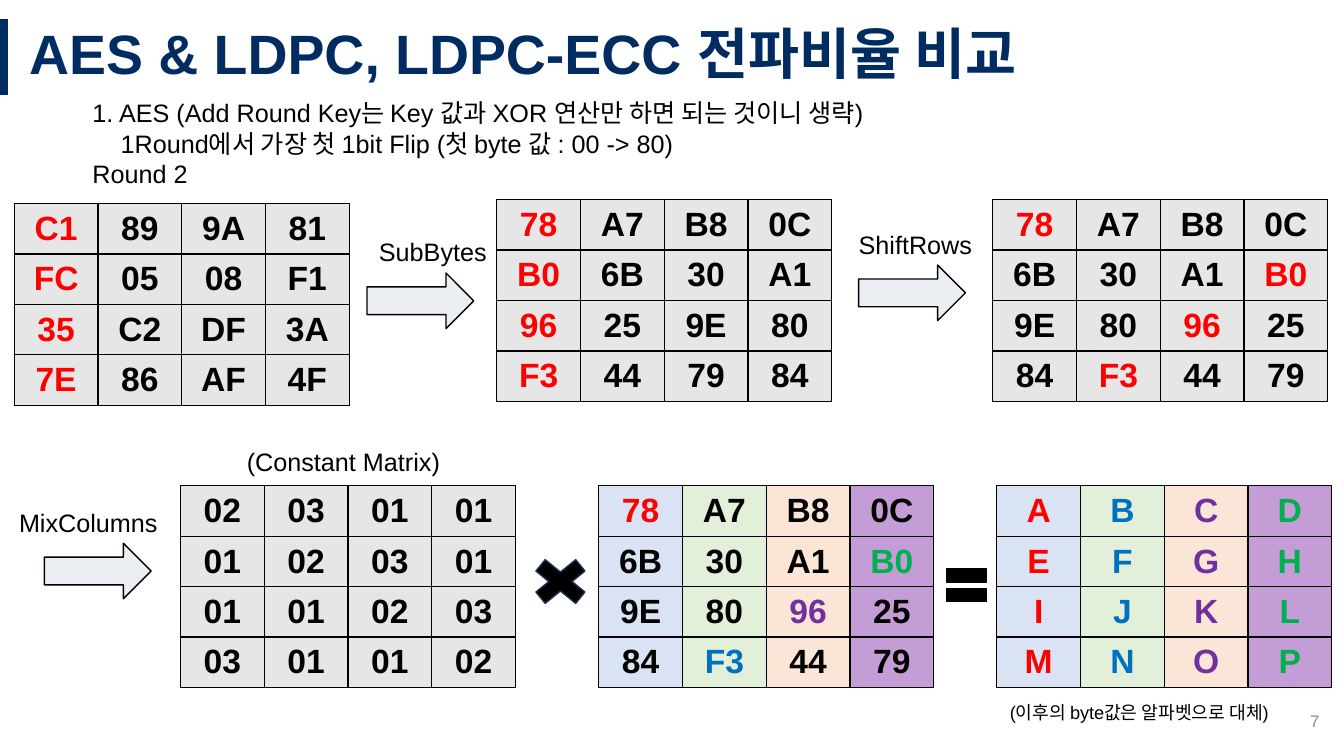
from dataclasses import dataclass

from lxml import etree
from pptx import Presentation
from pptx.dml.color import RGBColor
from pptx.enum import shapes, text
from pptx.oxml import ns
from pptx.shapes.autoshape import Shape
from pptx.slide import Slide
from pptx.text.text import TextFrame
from pptx.util import Cm, Pt


@dataclass(frozen=True)
class Theme:
    font: str = "Arial"
    navy: str = "002C62"
    black: str = "000000"
    grey: str = "8C8C8C"
    arrow: str = "EBEEF2"
    multiply_edge: str = "1E3256"
    plain_fills: tuple[str, ...] = ("E7E6E6",) * 4
    plain_inks: tuple[str, ...] = ("FF0000",) * 4
    column_fills: tuple[str, ...] = ("DAE3F3", "E2F0D9", "FBE5D6", "C49DD6")
    column_inks: tuple[str, ...] = ("FF0000", "0070C0", "7030A0", "00B050")
    title_size: float = 39.6
    byte_size: float = 24
    text_size: float = 18
    note_size: float = 13
    page_size: float = 12


THEME = Theme()
BYTE_WIDTH, BYTE_HEIGHT = 2.11, 1.27


@dataclass(frozen=True)
class Matrix:
    """Four rows of bytes; flipped bytes take the ink of their column."""
    left: float
    top: float
    rows: tuple[str, ...]
    flipped: str = ""
    by_column: bool = False


@dataclass(frozen=True)
class Label:
    left: float
    top: float
    width: float
    height: float
    words: str
    size: float = THEME.text_size
    ink: str = THEME.black
    align: text.PP_ALIGN = text.PP_ALIGN.LEFT
    anchor: text.MSO_ANCHOR = text.MSO_ANCHOR.TOP


@dataclass(frozen=True)
class Symbol:
    preset: shapes.MSO_SHAPE
    left: float
    top: float
    width: float = 2.69
    height: float = 1.4
    fill: str = THEME.arrow
    edge: str = THEME.black


SHIFTED = ("78 A7 B8 0C", "6B 30 A1 B0", "9E 80 96 25", "84 F3 44 79")
LETTERS = ("A B C D", "E F G H", "I J K L", "M N O P")
MATRICES = (
    Matrix(0.36, 5.13, ("C1 89 9A 81", "FC 05 08 F1", "35 C2 DF 3A", "7E 86 AF 4F"),
           "C1 FC 35 7E"),
    Matrix(12.52, 5.03, ("78 A7 B8 0C", "B0 6B 30 A1", "96 25 9E 80", "F3 44 79 84"),
           "78 B0 96 F3"),
    Matrix(25.02, 5.03, SHIFTED, "78 B0 96 F3"),
    Matrix(4.55, 12.24, ("02 03 01 01", "01 02 03 01", "01 01 02 03", "03 01 01 02")),
    Matrix(15.09, 12.24, SHIFTED, "78 B0 96 F3", by_column=True),
    Matrix(25.12, 12.24, LETTERS, " ".join(LETTERS), by_column=True),
)
INTRO = Label(2.08, 2.34, 26.16, 2.51,
              "1. AES (Add Round Key는 Key 값과 XOR 연산만 하면 되는 것이니 생략)\n"
              "1Round에서 가장 첫 1bit Flip (첫 byte 값 : 00 -> 80)\n"
              "Round 2")
LABELS = (
    Label(9.3, 5.84, 3.91, 1, "SubBytes"),
    Label(21.39, 5.66, 3.68, 1, "ShiftRows"),
    Label(0.23, 12.65, 4.62, 1, "MixColumns"),
    Label(5.97, 11.13, 6.12, 1, "(Constant Matrix)"),
    Label(25.2, 17.55, 8.08, 0.79, "(이후의 byte값은 알파벳으로 대체)", THEME.note_size),
    Label(25.88, 17.65, 7.62, 1.02, "7", THEME.page_size, THEME.grey,
          text.PP_ALIGN.RIGHT, text.MSO_ANCHOR.MIDDLE),
)
SYMBOLS = (
    Symbol(shapes.MSO_SHAPE.RIGHT_ARROW, 9.25, 6.88),
    Symbol(shapes.MSO_SHAPE.RIGHT_ARROW, 21.64, 6.68),
    Symbol(shapes.MSO_SHAPE.RIGHT_ARROW, 1.12, 13.69),
    Symbol(shapes.MSO_SHAPE.MATH_MULTIPLY, 13.16, 13.87, 1.93, 1.57,
           THEME.black, THEME.multiply_edge),
    Symbol(shapes.MSO_SHAPE.MATH_EQUAL, 23.67, 14.05, 1.37, 1.4, THEME.black),
)


def write(frame: TextFrame, words: str, size: float, ink: str,
          align: text.PP_ALIGN, bold: bool = False) -> None:
    frame.text = words
    for paragraph in frame.paragraphs:
        paragraph.alignment = align
        for run in paragraph.runs:
            run.font.name = THEME.font
            run.font.size = Pt(size)
            run.font.bold = bold
            run.font.color.rgb = RGBColor.from_string(ink)


def add_title(slide: Slide, words: str) -> None:
    title = slide.shapes.title
    title.left, title.top, title.width, title.height = Cm(0.48), Cm(0.48), Cm(33.39), Cm(1.91)
    frame = title.text_frame
    write(frame, words, THEME.title_size, THEME.navy, text.PP_ALIGN.LEFT, bold=True)
    frame.auto_size = text.MSO_AUTO_SIZE.NONE
    frame.vertical_anchor = text.MSO_ANCHOR.MIDDLE
    frame.paragraphs[0].line_spacing = 0.9


def add_title_bar(slide: Slide) -> None:
    bar = slide.shapes.add_connector(shapes.MSO_CONNECTOR.STRAIGHT,
                                     Cm(0.1), Cm(0.48), Cm(0.1), Cm(2.39))
    bar.line.color.rgb = RGBColor.from_string(THEME.navy)
    bar.line.width = Pt(6)
    etree.SubElement(bar.line._get_or_add_ln().getparent(), ns.qn("a:effectLst"))


def add_label(slide: Slide, label: Label) -> Shape:
    box = slide.shapes.add_textbox(Cm(label.left), Cm(label.top),
                                   Cm(label.width), Cm(label.height))
    frame = box.text_frame
    frame.word_wrap = True
    frame.vertical_anchor = label.anchor
    write(frame, label.words, label.size, label.ink, label.align)
    return box


def add_symbol(slide: Slide, symbol: Symbol) -> None:
    shape = slide.shapes.add_shape(symbol.preset, Cm(symbol.left), Cm(symbol.top),
                                   Cm(symbol.width), Cm(symbol.height))
    shape.shadow.inherit = False
    shape.fill.solid()
    shape.fill.fore_color.rgb = RGBColor.from_string(symbol.fill)
    shape.line.color.rgb = RGBColor.from_string(symbol.edge)
    shape.line.width = Pt(1)


def add_matrix(slide: Slide, matrix: Matrix) -> None:
    fills = THEME.column_fills if matrix.by_column else THEME.plain_fills
    inks = THEME.column_inks if matrix.by_column else THEME.plain_inks
    flipped = matrix.flipped.split()
    table = slide.shapes.add_table(4, 4, Cm(matrix.left), Cm(matrix.top),
                                   Cm(4 * BYTE_WIDTH), Cm(4 * BYTE_HEIGHT)).table
    table.first_row = table.horz_banding = False
    for column in table.columns:
        column.width = Cm(BYTE_WIDTH)
    for r, row in enumerate(matrix.rows):
        table.rows[r].height = Cm(BYTE_HEIGHT)
        for c, byte in enumerate(row.split()):
            cell = table.cell(r, c)
            write(cell.text_frame, byte, THEME.byte_size,
                  inks[c] if byte in flipped else THEME.black,
                  text.PP_ALIGN.CENTER, bold=True)
            cell.vertical_anchor = text.MSO_ANCHOR.MIDDLE
            properties = cell._tc.get_or_add_tcPr()
            for side in ("lnL", "lnR", "lnT", "lnB"):
                border = etree.SubElement(properties, ns.qn(f"a:{side}"), w=str(Pt(1)))
                solid = etree.SubElement(border, ns.qn("a:solidFill"))
                etree.SubElement(solid, ns.qn("a:srgbClr"), val=THEME.black)
            cell.fill.solid()
            cell.fill.fore_color.rgb = RGBColor.from_string(fills[c])


def main() -> None:
    deck = Presentation()
    deck.slide_width, deck.slide_height = Cm(33.87), Cm(19.05)
    slide = deck.slides.add_slide(deck.slide_layouts.get_by_name("Title Only"))
    add_title_bar(slide)
    add_title(slide, "AES & LDPC, LDPC-ECC 전파비율 비교")
    intro = add_label(slide, INTRO)
    flip_line = intro.text_frame.paragraphs[1]
    flip_line._p.get_or_add_pPr().set("marL", str(Cm(0.71)))
    for matrix in MATRICES:
        add_matrix(slide, matrix)
    for symbol in SYMBOLS:
        add_symbol(slide, symbol)
    for label in LABELS:
        add_label(slide, label)
    deck.save("out.pptx")


if __name__ == "__main__":
    main()
